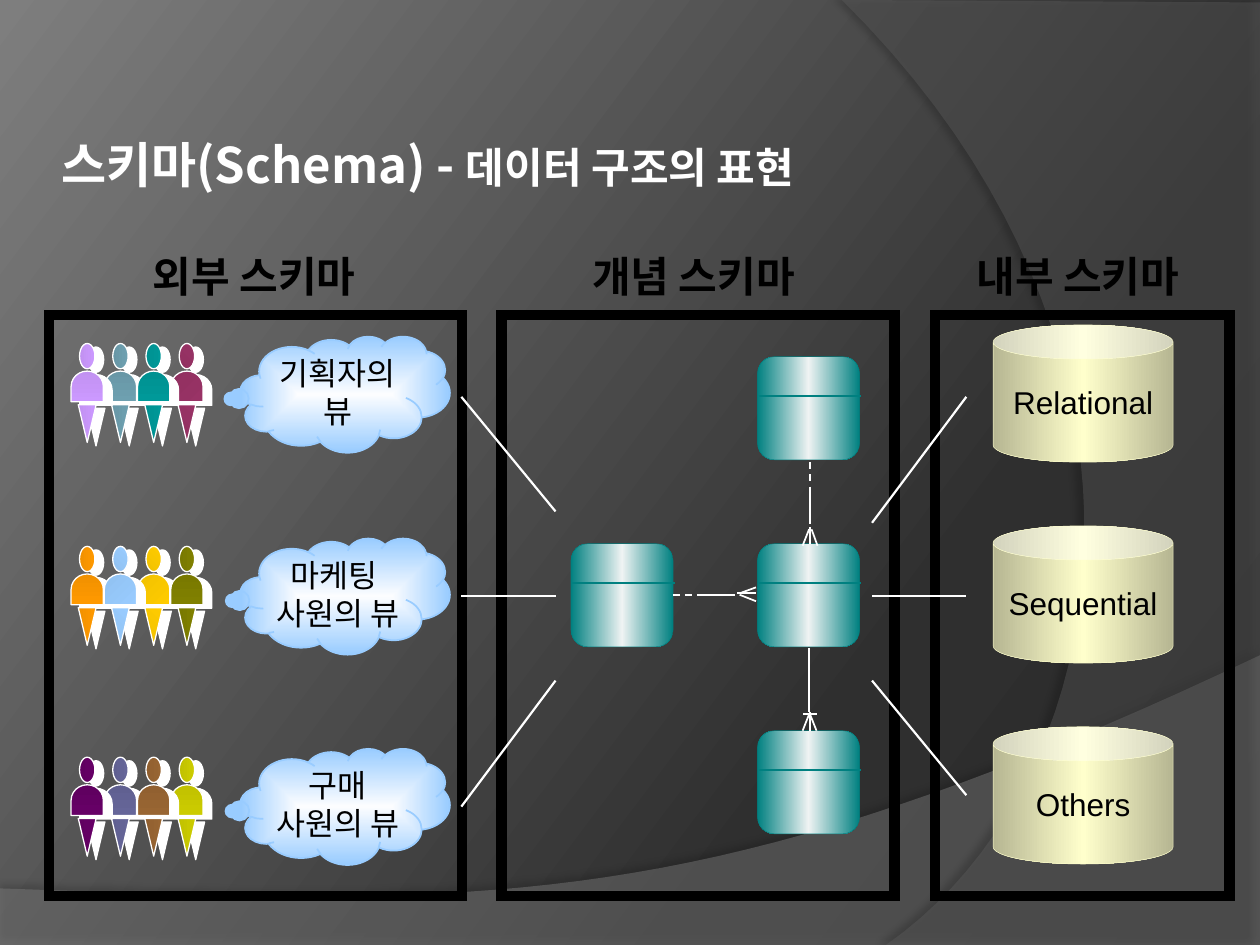
"""Build a slide on the three levels of database schema."""
from dataclasses import dataclass
from typing import NamedTuple, Optional

from lxml.etree import SubElement
from pptx import Presentation
from pptx.dml.color import RGBColor
from pptx.enum.dml import MSO_LINE
from pptx.enum.shapes import MSO_CONNECTOR, MSO_SHAPE as Preset
from pptx.enum.text import MSO_ANCHOR, MSO_AUTO_SIZE, PP_ALIGN
from pptx.oxml.ns import qn
from pptx.util import Cm, Pt

COLORS = {
    "black": "000000", "white": "FFFFFF", "swoosh": "7F7F7F", "arc": "5E5E5E",
    "back dark": "282828", "back middle": "2F2F2F", "back light": "7E7E7E",
    "cloud": "99CCFF", "cloud centre": "FCFDFF", "can": "FFFFCC", "can edge": "B6B692",
    "teal": "008080", "shine": "EFF3F3",
    "lilac": "CC99FF", "steel": "6EA0B0", "sea": "009999", "plum": "993366",
    "orange": "FF9900", "sky": "99CCFF", "gold": "FFCC00", "olive": "808000",
    "purple": "660066", "slate": "666699", "brown": "996633", "lime": "CCCC00",
}
KOREAN = "Noto Sans CJK KR"
LATIN = "Arial"


class Box(NamedTuple):
    left: float
    top: float
    width: float
    height: float


class Segment(NamedTuple):
    x1: float
    y1: float
    x2: float
    y2: float
    dashed: bool = False


class Run(NamedTuple):
    text: str
    size: float
    font: str = KOREAN
    color: str = "black"
    bold: bool = False


class Person(NamedTuple):
    column: int
    color: str
    angle: int = 0


class Shadow(NamedTuple):
    color: str
    alpha: int
    blur: float
    distance: float
    direction: int


@dataclass
class View:
    lines: list[str]
    cloud_top: float
    tail: float
    people_top: float
    people: list[Person]


@dataclass
class Curve:
    corners: list[tuple[float, float]]
    controls: list[tuple[float, float]]
    color: str
    alpha: int
    shadow: Shadow


CURVES = [
    Curve([(0, 17.91), (0, 19.05), (25.4, 19.05), (25.4, 13.21)],
          [(14.2, 18.52), (9.93, 18.26), (0, 17.91)],
          "swoosh", 45, Shadow("black", 35, 4, 3.5, 270)),
    Curve([(25.4, 0.05), (25.4, 19.05), (17.86, 19.05)],
          [(22.63, 15.72), (24.05, 6.99), (16.97, 0)],
          "arc", 40, Shadow("black", 45, 4, 4, 180)),
]
FRAMES = [(0.99, 8.33), (10.11, 7.92), (18.85, 5.94)]
VIEWS = [
    View(["기획자의 뷰"], 6.78, -0.555, 6.93,
         [Person(1, "steel"), Person(0, "lilac"), Person(3, "plum", 45), Person(2, "sea")]),
    View(["마케팅 ", "사원의 뷰"], 10.85, -0.545, 11.02,
         [Person(2, "gold", 45), Person(0, "orange"), Person(3, "olive"), Person(1, "sky", 45)]),
    View(["구매", "사원의 뷰"], 15.09, -0.547, 15.27,
         [Person(1, "slate"), Person(0, "purple"), Person(3, "lime"), Person(2, "brown")]),
]
LINKS = [
    Segment(9.3, 12.01, 11.2, 12.01), Segment(9.3, 8, 11.2, 10.31),
    Segment(9.3, 16.26, 11.2, 13.72), Segment(17.58, 12.01, 19.48, 12.01),
    Segment(17.58, 10.54, 19.48, 8), Segment(17.58, 13.72, 19.48, 16.03),
]
STORES = ["Relational", "Sequential", "Others"]
ENTITIES = [(15.27, 7.19), (15.27, 10.96), (15.27, 14.73), (11.51, 10.96)]
RELATIONS = [
    Segment(16.31, 13.06, 16.31, 14.35), Segment(16.33, 14.35, 16.33, 14.73),
    Segment(16.33, 14.4, 16.46, 14.73), Segment(16.18, 14.73, 16.31, 14.4),
    Segment(16.46, 14.4, 16.18, 14.4),
    Segment(16.33, 9.32, 16.33, 9.96, True), Segment(16.33, 10.62, 16.33, 10.97),
    Segment(16.36, 10.67, 16.48, 11), Segment(16.18, 11, 16.31, 10.67),
    Segment(16.33, 9.91, 16.33, 10.57),
    Segment(13.56, 11.99, 14.22, 11.99, True), Segment(14.86, 11.96, 15.24, 11.96),
    Segment(14.91, 11.96, 15.24, 11.84), Segment(15.24, 12.12, 14.91, 11.99),
    Segment(14.17, 11.99, 14.81, 11.99),
]
LABELS = [("외부 스키마", 2.44), ("개념 스키마", 11.3), ("내부 스키마", 19.05)]


def rgb(name: str) -> RGBColor:
    return RGBColor.from_string(COLORS[name])


def darker(name: str) -> str:
    return "".join(f"{round(channel * 0.945):02X}" for channel in rgb(name))


def set_gradient(fill, parent, stops: list[tuple[int, str]], angle: Optional[int] = 0) -> None:
    fill.gradient()
    gradient = next(parent.iter(qn("a:gradFill")))
    gradient.clear()
    stop_list = SubElement(gradient, qn("a:gsLst"))
    for position, color in stops:
        stop = SubElement(stop_list, qn("a:gs"), pos=str(position * 1000))
        SubElement(stop, qn("a:srgbClr"), val=color)
    if angle is None:
        route = SubElement(gradient, qn("a:path"), path="rect")
        SubElement(route, qn("a:fillToRect"), l="50000", t="50000", r="50000", b="50000")
    else:
        SubElement(gradient, qn("a:lin"), ang=str(angle * 60000), scaled="0")


def set_shadow(shape, shadow: Shadow) -> None:
    effects = shape.element.spPr.find(qn("a:effectLst"))
    outer = SubElement(effects, qn("a:outerShdw"), blurRad=str(Pt(shadow.blur)),
                       dist=str(Pt(shadow.distance)), dir=str(shadow.direction * 60000),
                       algn="ctr", rotWithShape="0")
    color = SubElement(outer, qn("a:srgbClr"), val=COLORS[shadow.color])
    SubElement(color, qn("a:alpha"), val=str(shadow.alpha * 1000))


def add_preset(slide, preset: Preset, box: Box, line: str, weight: float):
    shape = slide.shapes.add_shape(preset, *map(Cm, box))
    shape.shadow.inherit = False
    shape.line.color.rgb = rgb(line)
    shape.line.width = Pt(weight)
    return shape


def add_segment(slide, segment: Segment, color: str, weight: float) -> None:
    ends = map(Cm, segment[:4])
    connector = slide.shapes.add_connector(MSO_CONNECTOR.STRAIGHT, *ends)
    connector.line.color.rgb = rgb(color)
    connector.line.width = Pt(weight)
    if segment.dashed:
        connector.line.dash_style = MSO_LINE.DASH
    SubElement(connector.element.spPr, qn("a:effectLst"))


def write_text(shape, paragraphs: list[list[Run]], align: PP_ALIGN = PP_ALIGN.CENTER,
               margins: Optional[tuple[float, float]] = None) -> None:
    frame = shape.text_frame
    frame.word_wrap = True
    if margins:
        frame.margin_left = frame.margin_right = Cm(margins[0])
        frame.margin_top = frame.margin_bottom = Cm(margins[1])
        frame.vertical_anchor = MSO_ANCHOR.MIDDLE
    for index, runs in enumerate(paragraphs):
        paragraph = frame.add_paragraph() if index else frame.paragraphs[0]
        paragraph.alignment = align
        for item in runs:
            run = paragraph.add_run()
            run.text = item.text
            run.font.size = Pt(item.size)
            run.font.bold = item.bold
            run.font.color.rgb = rgb(item.color)
            run.font.name = item.font
            SubElement(run.font._element, qn("a:ea"), typeface=item.font)


def add_curve(slide, curve: Curve) -> None:
    points = [curve.corners[-1], *curve.controls]
    bend = []
    for step in range(1, 41):
        t = step / 40
        weights = ((1 - t) ** 3, 3 * t * (1 - t) ** 2, 3 * t * t * (1 - t), t ** 3)
        bend.append(tuple(sum(w * p[axis] for w, p in zip(weights, points)) for axis in (0, 1)))
    start, *rest = [(Cm(x), Cm(y)) for x, y in curve.corners + bend]
    builder = slide.shapes.build_freeform(*start)
    builder.add_line_segments(rest, close=True)
    shape = builder.convert_to_shape()
    shape.shadow.inherit = False
    shape.fill.solid()
    shape.fill.fore_color.rgb = rgb(curve.color)
    color = next(shape.element.spPr.iter(qn("a:srgbClr")))
    SubElement(color, qn("a:alpha"), val=str(curve.alpha * 1000))
    shape.line.fill.background()
    set_shadow(shape, curve.shadow)


def add_person(slide, person: Person, top: float) -> None:
    centre = 1.76 + 0.67 * person.column
    parts = [(Preset.FLOWCHART_DELAY, 0.86, 0.62, 0.65, 90),
             (Preset.FLOWCHART_MERGE, 1.61, 0.36, 0.76, 0),
             (Preset.OVAL, 0.25, 0.31, 0.51, 0)]
    for preset, middle, width, height, rotation in parts:
        box = Box(centre - width / 2, top + middle - height / 2, width, height)
        shape = add_preset(slide, preset, box, "white", 0.75)
        shape.rotation = rotation
        shape.element.spPr.find(qn("a:xfrm")).set("flipH", "1")
        set_gradient(shape.fill, shape.element,
                     [(0, COLORS[person.color]), (100, darker(person.color))], person.angle)
        set_shadow(shape, Shadow("white", 100, 0, 5.4, 22))


def add_cloud(slide, view: View) -> None:
    shape = add_preset(slide, Preset.CLOUD_CALLOUT, Box(4.85, view.cloud_top, 4.22, 2.34), "cloud", 1)
    shape.adjustments[0], shape.adjustments[1] = view.tail, 0.04
    set_gradient(shape.fill, shape.element,
                 [(0, COLORS["cloud centre"]), (100, COLORS["cloud"])], None)
    write_text(shape, [[Run(line, 18)] for line in view.lines], margins=(0, 0.13))


def add_banded(slide, preset: Preset, box: Box, edge: str, middle: str, line: str):
    shape = add_preset(slide, preset, box, line, 0.25)
    set_gradient(shape.fill, shape.element,
                 [(0, COLORS[edge]), (50, COLORS[middle]), (100, COLORS[edge])])
    return shape


def main() -> None:
    presentation = Presentation()
    presentation.slide_width, presentation.slide_height = Cm(25.4), Cm(19.05)
    slide = presentation.slides.add_slide(presentation.slide_layouts[6])
    set_gradient(slide.background.fill, slide.element,
                 [(0, COLORS["back dark"]), (30, COLORS["back middle"]),
                  (100, COLORS["back light"])], 217)
    for curve in CURVES:
        add_curve(slide, curve)
    for left, width in FRAMES:
        shape = add_preset(slide, Preset.RECTANGLE, Box(left, 6.35, width, 11.71), "black", 6)
        shape.fill.background()
        SubElement(shape.element.spPr.find(qn("a:ln")), qn("a:miter"), lim="800000")
    for view in VIEWS:
        add_cloud(slide, view)
    for link in LINKS:
        add_segment(slide, link, "white", 1.25)
    for row, name in enumerate(STORES):
        box = Box(20.02, 6.55 + 4.05 * row, 3.63, 2.77)
        shape = add_banded(slide, Preset.CAN, box, "can edge", "can", "can")
        write_text(shape, [[Run(name, 18, LATIN)]], margins=(0.15, 0.15))
    for left, top in ENTITIES:
        add_banded(slide, Preset.FLOWCHART_ALTERNATE_PROCESS, Box(left, top, 2.06, 2.08),
                   "teal", "shine", "teal")
        add_segment(slide, Segment(left + 0.03, top + 0.79, left + 2.09, top + 0.79), "teal", 1)
    for view in VIEWS:
        for person in view.people:
            add_person(slide, person, view.people_top)
    for segment in RELATIONS:
        add_segment(slide, segment, "white", 1)
    for label, left in LABELS:
        shape = slide.shapes.add_textbox(*map(Cm, Box(left, 4.93, 5.36, 1.3)))
        write_text(shape, [[Run(label, 24, bold=True)]])
        shape.text_frame.auto_size = MSO_AUTO_SIZE.SHAPE_TO_FIT_TEXT
    title = slide.shapes.add_textbox(*map(Cm, Box(0.99, 2.59, 23.62, 1.57)))
    write_text(title, [[Run("스키마(Schema) - ", 28, color="white", bold=True),
                        Run("데이터 구조의 표현", 24, color="white", bold=True)]], PP_ALIGN.LEFT)
    presentation.save("out.pptx")


if __name__ == "__main__":
    main()
